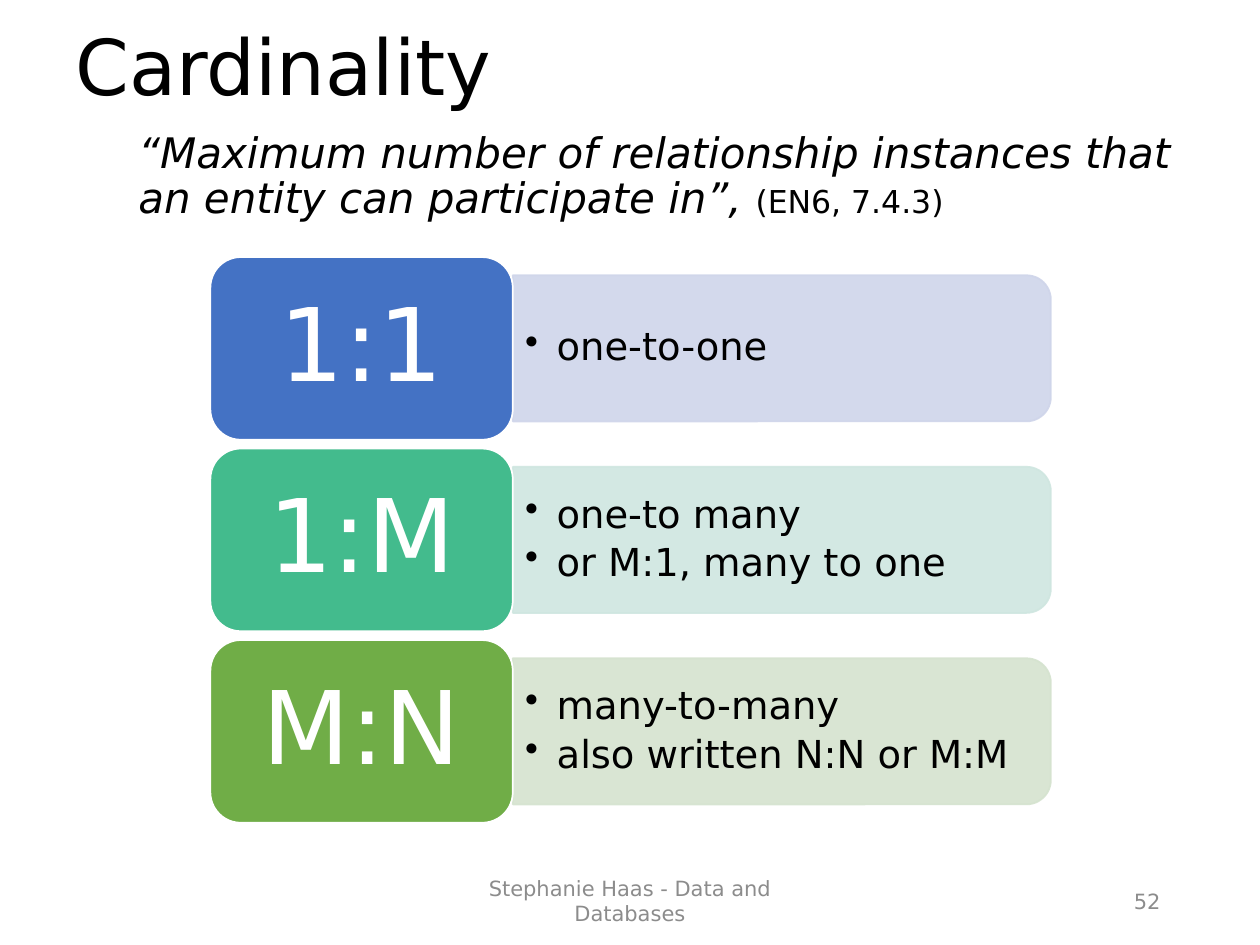
from lxml import etree
from pptx import Presentation
from pptx.dml.color import RGBColor
from pptx.enum import shapes, text
from pptx.oxml import ns
from pptx.util import Inches, Pt

FONT = "DejaVu Sans"
BLACK = RGBColor(0x00, 0x00, 0x00)
WHITE = RGBColor(0xFF, 0xFF, 0xFF)
GREY = RGBColor(0x8C, 0x8C, 0x8C)
BLUE, PALE_BLUE = RGBColor(0x44, 0x72, 0xC4), RGBColor(0xCF, 0xD5, 0xEA)
TEAL, PALE_TEAL = RGBColor(0x43, 0xBB, 0x8D), RGBColor(0xCF, 0xE6, 0xE0)
GREEN, PALE_GREEN = RGBColor(0x70, 0xAD, 0x47), RGBColor(0xD5, 0xE3, 0xCF)


def style(box, size, color, align, spacing=1.0, anchor=text.MSO_ANCHOR.MIDDLE):
    frame = box.text_frame
    frame.word_wrap = True
    frame.auto_size = text.MSO_AUTO_SIZE.NONE
    frame.vertical_anchor = anchor
    for paragraph in frame.paragraphs:
        paragraph.alignment = align
        paragraph.line_spacing = spacing
        for span in paragraph.runs:
            span.font.name = FONT
            span.font.size = Pt(size)
            span.font.color.rgb = color


def add_text(page, words, left, top, width, height):
    box = page.shapes.add_textbox(Inches(left), Inches(top), Inches(width), Inches(height))
    box.text_frame.text = words
    return box


deck = Presentation()
deck.slide_width, deck.slide_height = Inches(10), Inches(7.5)
page = deck.slides.add_slide(deck.slide_layouts[5])

# Title
title = page.shapes.title
title.left, title.top = Inches(0.5), Inches(0.17)
title.width, title.height = Inches(9), Inches(0.78)
title.text_frame.text = "Cardinality"
style(title, 44, BLACK, text.PP_ALIGN.LEFT, 0.9)

# Definition with its reference
quote = add_text(page, "“Maximum number of relationship instances that "
                 "an entity can participate in”, ", 0.5, 1, 9, 1.17)
definition = quote.text_frame.paragraphs[0]
definition._p.get_or_add_pPr().set("marL", str(Inches(0.5)))
reference = definition.add_run()
reference.text = "(EN6, 7.4.3)"
style(quote, 24, BLACK, text.PP_ALIGN.LEFT, 0.9, text.MSO_ANCHOR.TOP)
definition.runs[0].font.italic = True
reference.font.size = Pt(18)

# Cardinality rows: a label on the left, its meaning on a pale panel
LABEL_LEFT, LABEL_WIDTH, LABEL_HEIGHT = 1.67, 2.4, 1.45
PANEL_LEFT, PANEL_WIDTH, PANEL_HEIGHT = LABEL_LEFT + LABEL_WIDTH, 4.27, 1.16
FIRST_TOP, ROW_STEP = 2.04, 1.52
rows = [
    ("1:1", BLUE, PALE_BLUE, ["one-to-one"]),
    ("1:M", TEAL, PALE_TEAL, ["one-to many", "or M:1, many to one"]),
    ("M:N", GREEN, PALE_GREEN, ["many-to-many", "also written N:N or M:M"]),
]
for index, (name, strong, pale, meanings) in enumerate(rows):
    top = FIRST_TOP + index * ROW_STEP
    middle = top + LABEL_HEIGHT / 2

    # Panel: a shape with two round corners, turned to face right
    panel = page.shapes.add_shape(
        shapes.MSO_SHAPE.ROUND_2_SAME_RECTANGLE,
        Inches(PANEL_LEFT + (PANEL_WIDTH - PANEL_HEIGHT) / 2),
        Inches(middle - PANEL_WIDTH / 2), Inches(PANEL_HEIGHT), Inches(PANEL_WIDTH))
    panel.rotation = 90
    panel.shadow.inherit = False
    panel.fill.solid()
    panel.fill.fore_color.rgb = pale
    panel.line.color.rgb = pale
    panel.line.width = Pt(1)
    for color in panel._element.spPr.iter(ns.qn("a:srgbClr")):
        etree.SubElement(color, ns.qn("a:alpha"), val="90000")

    # Bulleted meanings
    detail = add_text(page, "\n".join(meanings), PANEL_LEFT, middle - 0.525, 4.21, 1.05)
    for paragraph in detail.text_frame.paragraphs:
        properties = paragraph._p.get_or_add_pPr()
        properties.set("marL", str(Inches(0.25)))
        properties.set("indent", str(Inches(-0.25)))
        etree.SubElement(properties, ns.qn("a:buChar"), char="•")
        paragraph.space_after = Pt(4)
    style(detail, 22, BLACK, text.PP_ALIGN.LEFT, 0.9)

    # Label
    label = page.shapes.add_shape(
        shapes.MSO_SHAPE.ROUNDED_RECTANGLE, Inches(LABEL_LEFT), Inches(top),
        Inches(LABEL_WIDTH), Inches(LABEL_HEIGHT))
    label.shadow.inherit = False
    label.fill.solid()
    label.fill.fore_color.rgb = strong
    label.line.color.rgb = WHITE
    label.line.width = Pt(1)
    label.text_frame.text = name
    style(label, 58, WHITE, text.PP_ALIGN.CENTER, 0.9)

# Footer and page number
footer = add_text(page, "Stephanie Haas - Data and Databases", 3.33, 6.95, 3.34, 0.4)
style(footer, 12, GREY, text.PP_ALIGN.CENTER)
number = add_text(page, "52", 7.06, 6.95, 2.25, 0.4)
style(number, 12, GREY, text.PP_ALIGN.RIGHT)

deck.save("out.pptx")
